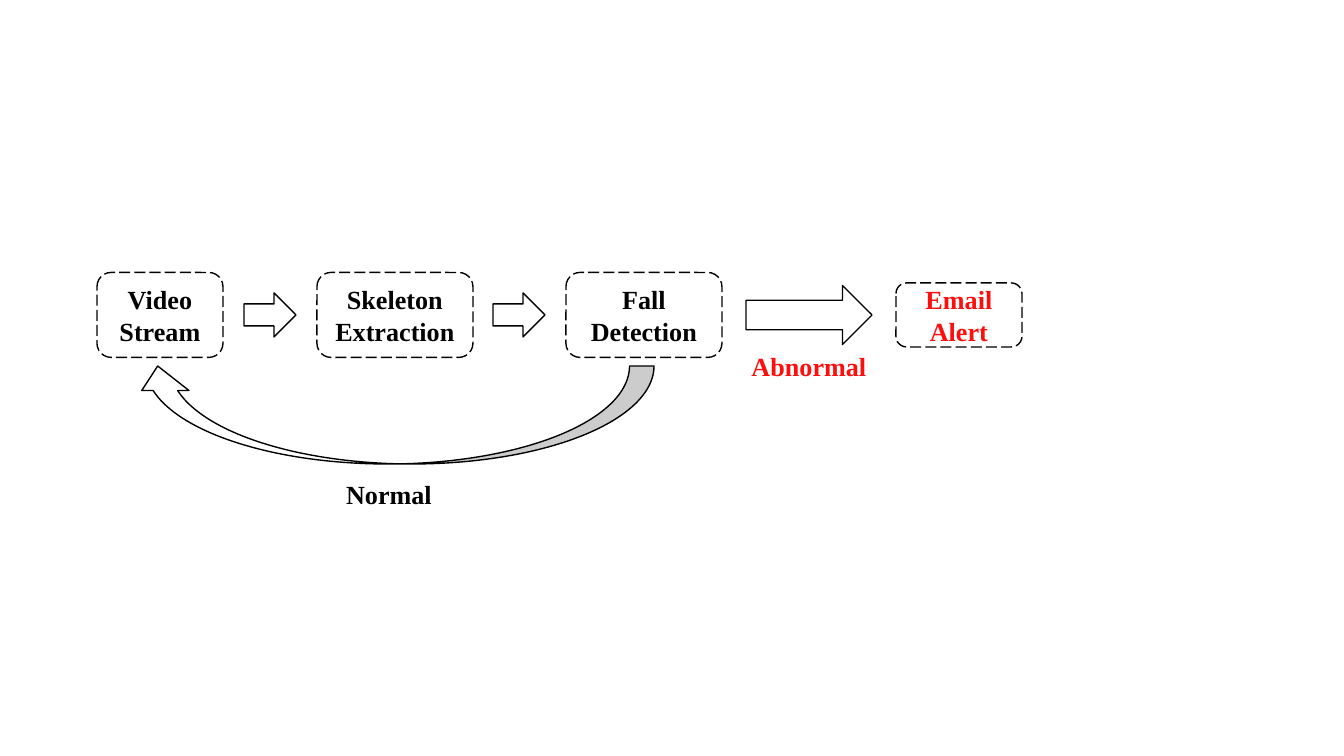
from dataclasses import dataclass

from pptx import Presentation
from pptx.dml.color import RGBColor
from pptx.enum.dml import MSO_LINE
from pptx.enum.shapes import MSO_SHAPE
from pptx.enum.text import MSO_ANCHOR, MSO_AUTO_SIZE, PP_ALIGN
from pptx.util import Emu, Inches, Pt

PX_PER_INCH = 134.4
ROW_MIDDLE = 315


@dataclass(frozen=True)
class Theme:
    font: str = "Times New Roman"
    size: int = 14
    line_width: float = 0.75
    ink: RGBColor = RGBColor(0x00, 0x00, 0x00)
    alert: RGBColor = RGBColor(0xFF, 0x0E, 0x0E)
    paper: RGBColor = RGBColor(0xFF, 0xFF, 0xFF)


THEME = Theme()


def px(n):
    return Emu(round(n * 914400 / PX_PER_INCH))


def write(sp, text, color=THEME.ink, anchor=MSO_ANCHOR.MIDDLE, grow=False):
    tf = sp.text_frame
    tf.word_wrap = True
    tf.vertical_anchor = anchor
    tf.margin_left = tf.margin_right = Inches(0.1)
    tf.margin_top = tf.margin_bottom = Inches(0.1)
    tf.auto_size = MSO_AUTO_SIZE.SHAPE_TO_FIT_TEXT if grow else MSO_AUTO_SIZE.NONE
    tf.text = text
    for p in tf.paragraphs:
        p.alignment = PP_ALIGN.CENTER
        for r in p.runs:
            r.font.name = THEME.font
            r.font.size = Pt(THEME.size)
            r.font.bold = True
            r.font.color.rgb = color


def add_outlined(s, kind, x, y, w, h):
    sp = s.shapes.add_shape(kind, px(x), px(y), px(w), px(h))
    sp.shadow.inherit = False
    sp.fill.solid()
    sp.fill.fore_color.rgb = THEME.paper
    sp.line.color.rgb = THEME.ink
    sp.line.width = Pt(THEME.line_width)
    return sp


def add_step(s, text, x, w, h=85, color=THEME.ink):
    sp = add_outlined(s, MSO_SHAPE.ROUNDED_RECTANGLE, x, ROW_MIDDLE - h / 2, w, h)
    sp.line.dash_style = MSO_LINE.LONG_DASH
    write(sp, text, color=color)


def add_arrow(s, x, w, h):
    add_outlined(s, MSO_SHAPE.RIGHT_ARROW, x, ROW_MIDDLE - h / 2, w, h)


def add_return_arrow(s, x, y, w, h):
    sp = add_outlined(s, MSO_SHAPE.CURVED_DOWN_ARROW, x, y, w, h)
    sp.rotation = 180
    sp.adjustments[0] = 0.25
    sp.adjustments[1] = 0.482
    sp.adjustments[2] = 0.25


def add_label(s, text, x, y, w, color=THEME.ink):
    sp = s.shapes.add_textbox(px(x), px(y), px(w), px(59))
    write(sp, text, color=color, anchor=MSO_ANCHOR.TOP, grow=True)


def main():
    prs = Presentation()
    prs.slide_width, prs.slide_height = px(1344), px(756)
    s = prs.slides.add_slide(prs.slide_layouts[6])

    add_step(s, "Video Stream", 97, 126)
    add_step(s, "Skeleton Extraction", 317, 156)
    add_step(s, "Fall\nDetection", 566, 156)
    add_step(s, "Email\nAlert", 896, 126, h=64, color=THEME.alert)

    for x in (244, 493):
        add_arrow(s, x, 52, 44)
    add_arrow(s, 746, 126, 59)
    add_return_arrow(s, 134, 366, 520, 98)

    add_label(s, "Abnormal", 731, 337, 156, color=THEME.alert)
    add_label(s, "Normal", 326, 465, 126)

    prs.save("out.pptx")


if __name__ == "__main__":
    main()
